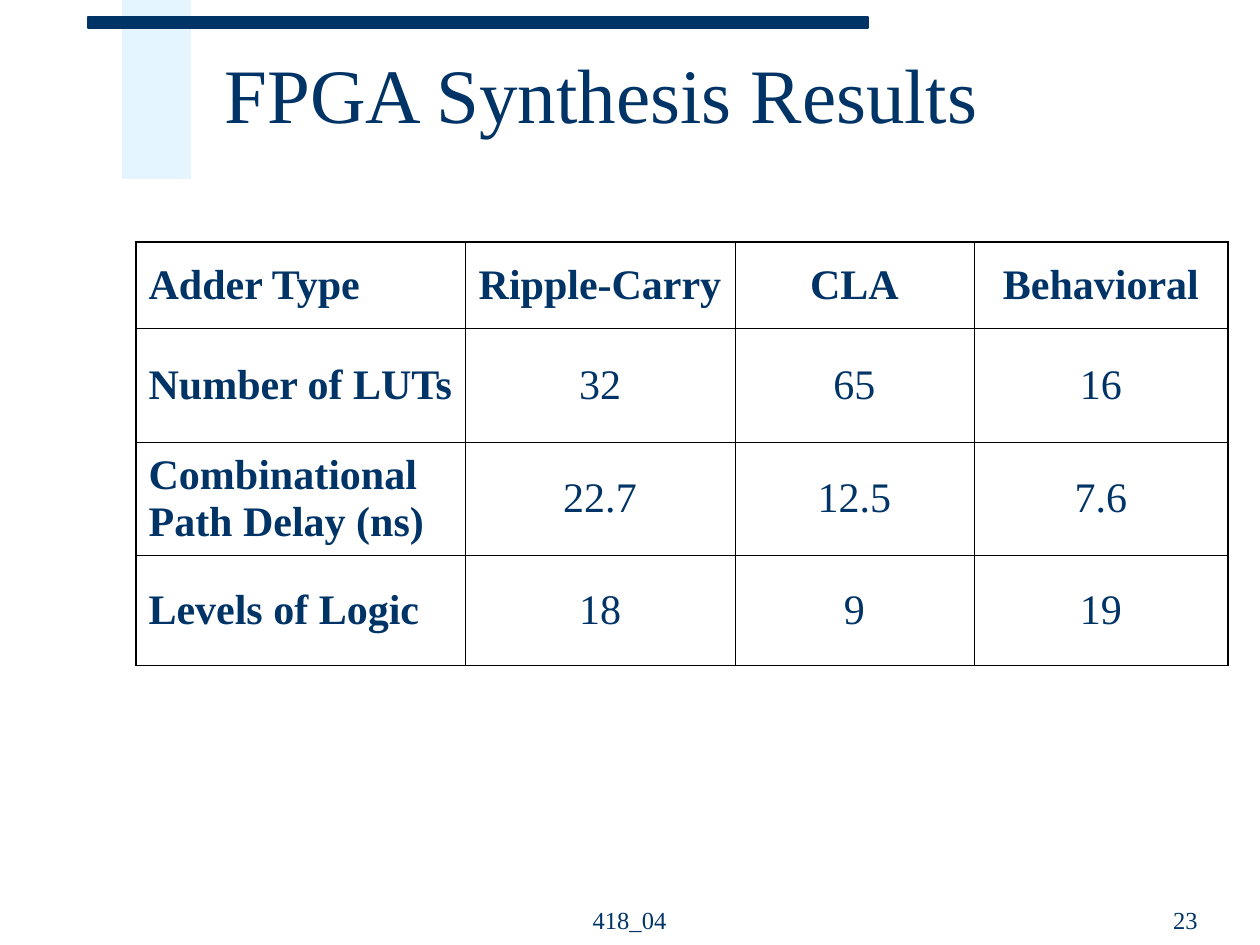
import dataclasses
import typing

import lxml.etree
import pptx
import pptx.dml.color
import pptx.enum.shapes
import pptx.enum.text
import pptx.oxml.ns
import pptx.util

PX_PER_INCH = 126
ALIGN = pptx.enum.text.PP_ALIGN
ANCHOR = pptx.enum.text.MSO_ANCHOR


@dataclasses.dataclass(frozen=True)
class Theme:
    font: str = "Times New Roman"
    navy: str = "003366"
    pale_blue: str = "CCECFF"
    rule: str = "000000"
    title_size: int = 44
    table_size: int = 24
    footer_size: int = 14
    inner_rule: float = 0.45
    outer_rule: float = 1.08


class Box(typing.NamedTuple):
    left: int
    top: int
    width: int
    height: int


@dataclasses.dataclass(frozen=True)
class Bar:
    box: Box
    color: str
    opacity: int = 100


@dataclasses.dataclass(frozen=True)
class Footer:
    text: str
    box: Box
    align: ALIGN


THEME = Theme()
TITLE = "FPGA Synthesis Results"
TITLE_BOX = Box(212, 21, 1017, 158)
BARS = (
    Bar(Box(122, 0, 69, 179), THEME.pale_blue, 50),
    Bar(Box(88, 17, 780, 11), THEME.navy),
)
FOOTERS = (
    Footer("418_04", Box(514, 878, 231, 63), ALIGN.CENTER),
    Footer("23", Box(908, 878, 302, 63), ALIGN.RIGHT),
)
TABLE_ORIGIN = (136, 242)
COLUMN_WIDTHS = (329, 270, 239, 254)
ROW_HEIGHTS = (86, 114, 113, 110)
RESULTS = (
    ("Adder Type", "Ripple-Carry", "CLA", "Behavioral"),
    ("Number of LUTs", "32", "65", "16"),
    ("Combinational Path Delay (ns)", "22.7", "12.5", "7.6"),
    ("Levels of Logic", "18", "9", "19"),
)


def px(length: int) -> pptx.util.Emu:
    return pptx.util.Emu(round(length * 914400 / PX_PER_INCH))


def rgb(color: str) -> pptx.dml.color.RGBColor:
    return pptx.dml.color.RGBColor.from_string(color)


def set_all(target: typing.Any, values: dict[str, typing.Any]) -> None:
    for name, value in values.items():
        setattr(target, name, value)


def write(frame, text: str, size: int, bold: bool = False, **para_format) -> None:
    """Put one formatted paragraph into a text frame."""
    para = frame.paragraphs[0]
    set_all(para, para_format)
    span = para.add_run()
    span.text = text
    set_all(span.font, {"name": THEME.font, "size": pptx.util.Pt(size), "bold": bold})
    span.font.color.rgb = rgb(THEME.navy)


def draw_bar(slide, bar: Bar) -> None:
    shape = slide.shapes.add_shape(
        pptx.enum.shapes.MSO_SHAPE.RECTANGLE, *map(px, bar.box)
    )
    shape.shadow.inherit = False
    shape.fill.solid()
    shape.fill.fore_color.rgb = rgb(bar.color)
    if bar.opacity < 100:
        shape.line.fill.background()
        color = shape.fill._xPr.find(".//" + pptx.oxml.ns.qn("a:srgbClr"))
        alpha = lxml.etree.SubElement(color, pptx.oxml.ns.qn("a:alpha"))
        alpha.set("val", str(bar.opacity * 1000))
    else:
        shape.line.color.rgb = rgb(bar.color)
        shape.line.width = pptx.util.Pt(0.75)


def draw_title(slide) -> None:
    title = slide.shapes.title
    set_all(title, dict(zip(Box._fields, map(px, TITLE_BOX))))
    set_all(title.text_frame, {"vertical_anchor": ANCHOR.MIDDLE, "word_wrap": True})
    write(title.text_frame, TITLE, THEME.title_size,
          alignment=ALIGN.LEFT, line_spacing=0.85)


def draw_footer(slide, footer: Footer) -> None:
    frame = slide.shapes.add_textbox(*map(px, footer.box)).text_frame
    set_all(frame, {"vertical_anchor": ANCHOR.BOTTOM, "word_wrap": True})
    write(frame, footer.text, THEME.footer_size, alignment=footer.align)


def draw_borders(cell, outer_edges: dict[str, bool]) -> None:
    """Rule the four sides of a cell, heavier where a side is on the table edge."""
    properties = cell._tc.get_or_add_tcPr()
    for index, (side, is_outer) in enumerate(outer_edges.items()):
        width = THEME.outer_rule if is_outer else THEME.inner_rule
        line = lxml.etree.Element(pptx.oxml.ns.qn(f"a:ln{side}"))
        line.set("w", str(pptx.util.Pt(width)))
        fill = lxml.etree.SubElement(line, pptx.oxml.ns.qn("a:solidFill"))
        color = lxml.etree.SubElement(fill, pptx.oxml.ns.qn("a:srgbClr"))
        color.set("val", THEME.rule)
        properties.insert(index, line)


def draw_table(slide) -> None:
    last_row, last_column = len(ROW_HEIGHTS) - 1, len(COLUMN_WIDTHS) - 1
    box = Box(*TABLE_ORIGIN, sum(COLUMN_WIDTHS), sum(ROW_HEIGHTS))
    table = slide.shapes.add_table(
        last_row + 1, last_column + 1, *map(px, box)
    ).table
    set_all(table, {"first_row": False, "horz_banding": False})
    for column, width in zip(table.columns, COLUMN_WIDTHS):
        column.width = px(width)
    for row, height in zip(table.rows, ROW_HEIGHTS):
        row.height = px(height)
    for r, texts in enumerate(RESULTS):
        for c, text in enumerate(texts):
            cell = table.cell(r, c)
            cell.vertical_anchor = ANCHOR.MIDDLE
            cell.fill.background()
            write(cell.text_frame, text, THEME.table_size, bold=r == 0 or c == 0,
                  alignment=ALIGN.CENTER if c else ALIGN.LEFT,
                  space_before=pptx.util.Pt(6))
            draw_borders(cell, {"L": c == 0, "R": c == last_column,
                                "T": r == 0, "B": r == last_row})


def main() -> None:
    deck = pptx.Presentation()
    set_all(deck, {"slide_width": px(1260), "slide_height": px(945)})
    page = deck.slides.add_slide(deck.slide_layouts.get_by_name("Title Only"))
    for bar in BARS:
        draw_bar(page, bar)
    for footer in FOOTERS:
        draw_footer(page, footer)
    draw_title(page)
    draw_table(page)
    deck.save("out.pptx")


if __name__ == "__main__":
    main()
